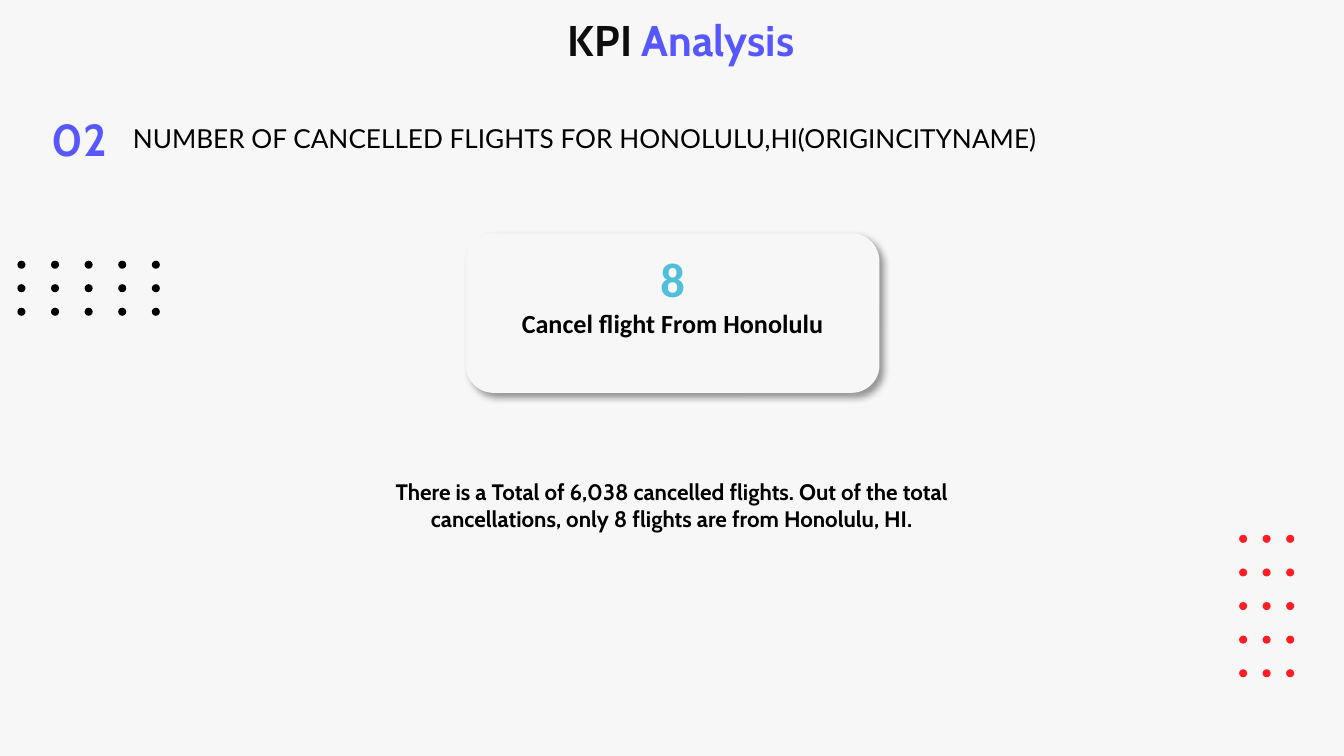
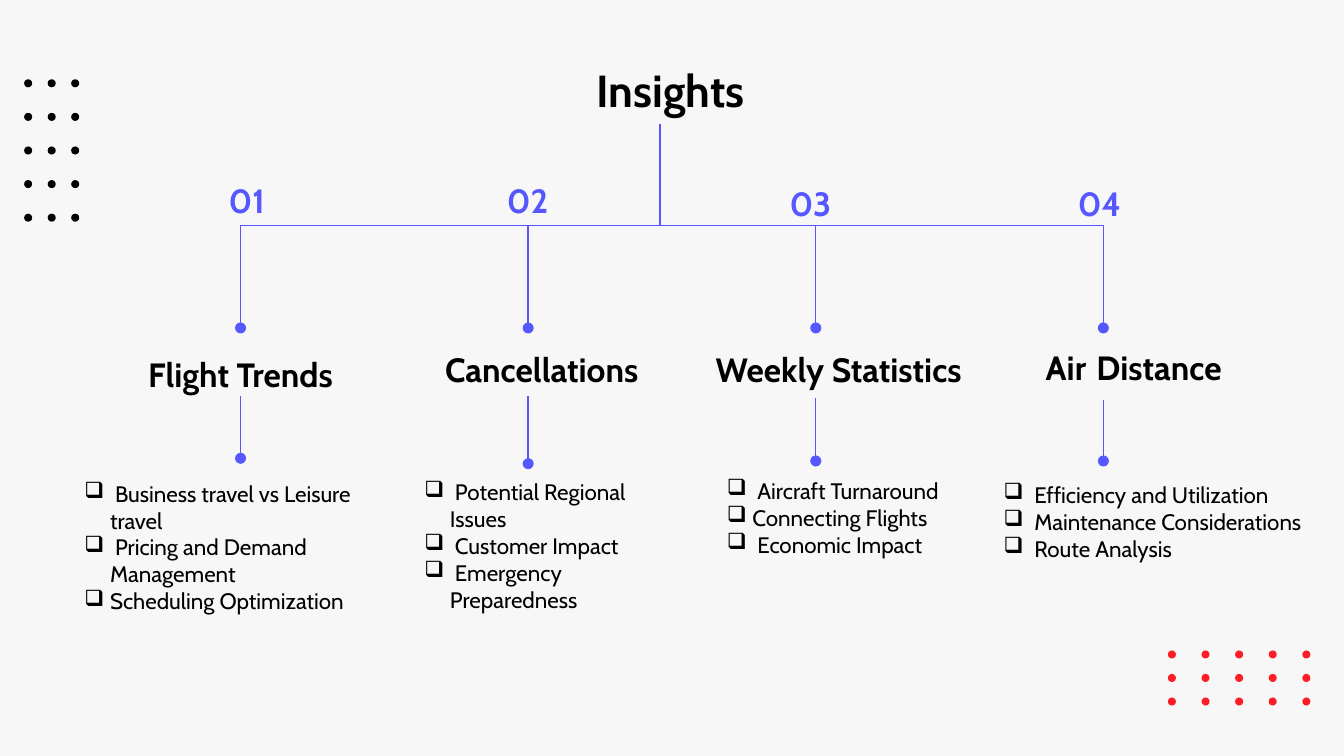
from lxml.etree import SubElement
from pptx import Presentation
from pptx.dml.color import RGBColor
from pptx.enum.shapes import MSO_CONNECTOR, MSO_SHAPE
from pptx.enum.text import MSO_ANCHOR, MSO_AUTO_SIZE, PP_ALIGN
from pptx.oxml.ns import qn
from pptx.util import Inches, Pt

BLACK = RGBColor(0x00, 0x00, 0x00)
INK = RGBColor(0x0D, 0x0D, 0x0D)
PAPER = RGBColor(0xF7, 0xF7, 0xF7)
VIOLET = RGBColor(0x57, 0x57, 0xFF)
RED = RGBColor(0xFF, 0x1D, 0x25)
SKY = RGBColor(0x50, 0xBF, 0xDB)

# Text formats: every key but "color" is a font attribute
BODY = {"name": "Cabin", "size": Pt(12), "bold": False, "color": BLACK}
STRONG = {**BODY, "bold": True}
HEADING = {**STRONG, "size": Pt(18)}
NUMBER = {**HEADING, "color": VIOLET}
TITLE = {**STRONG, "size": Pt(24)}
KPI_TITLE = {**TITLE, "size": Pt(23), "color": INK}
CAPTION = {**BODY, "name": "Lato", "size": Pt(14)}
CARD_LABEL = {**STRONG, "name": "Calibri", "size": Pt(14)}
CARD_VALUE = {**CARD_LABEL, "size": Pt(26), "color": SKY}

# Dot patterns: columns, rows, column step, row step
WIDE_DOTS = (5, 3, 2.5, 1.75)
TALL_DOTS = (3, 5, 1.75, 2.5)
DOT_SIZE = 0.6
COLUMNS = 100


class Painter:
    """Draws on the current page; lengths are square cells, 100 across the page."""

    def __init__(self):
        self.deck = Presentation()
        self.deck.slide_width = Inches(10)
        self.deck.slide_height = Inches(10) * 9 // 16
        self.cell = self.deck.slide_width // COLUMNS
        self.page = None
        fill = self.deck.slide_master.background.fill
        fill.solid()
        fill.fore_color.rgb = PAPER

    def cells(self, *lengths):
        return [round(length * self.cell) for length in lengths]

    def add_page(self):
        self.page = self.deck.slides.add_slide(self.deck.slide_layouts[5])

    def fill_text(self, shape, paragraphs, align=PP_ALIGN.CENTER, **frame_format):
        """Fill a shape with paragraphs, each a list of (words, format) spans."""
        frame = shape.text_frame
        settings = {"word_wrap": True, "auto_size": MSO_AUTO_SIZE.NONE,
                    "vertical_anchor": MSO_ANCHOR.TOP, **frame_format}
        for key, value in settings.items():
            setattr(frame, key, value)
        for index, spans in enumerate(paragraphs):
            para = frame.add_paragraph() if index else frame.paragraphs[0]
            para.alignment = align
            for words, text_format in spans:
                span = para.add_run()
                span.text = words
                for key, value in text_format.items():
                    if key == "color":
                        span.font.color.rgb = value
                    else:
                        setattr(span.font, key, value)

    def pad(self, box):
        for side in ("left", "right", "top", "bottom"):
            setattr(box.text_frame, f"margin_{side}", self.cell)

    def title(self, place, spans, anchor):
        box = self.page.shapes.title
        for key, value in zip(("left", "top", "width", "height"), self.cells(*place)):
            setattr(box, key, value)
        self.pad(box)
        self.fill_text(box, [spans], vertical_anchor=anchor)

    def text(self, place, paragraphs, anchor=MSO_ANCHOR.TOP, align=PP_ALIGN.CENTER):
        box = self.page.shapes.add_textbox(*self.cells(*place))
        self.pad(box)
        self.fill_text(box, paragraphs, align, vertical_anchor=anchor)
        return box

    def caption(self, place, words):
        box = self.page.shapes.add_textbox(*self.cells(*place))
        self.fill_text(box, [[(words, CAPTION)]], PP_ALIGN.LEFT, word_wrap=False,
                       auto_size=MSO_AUTO_SIZE.SHAPE_TO_FIT_TEXT)

    def checklist(self, place, items):
        box = self.text(place, [[(item, BODY)] for item in items], align=PP_ALIGN.LEFT)
        indent = Inches(0.19)
        for para in box.text_frame.paragraphs:
            properties = para._p.get_or_add_pPr()
            properties.set("marL", str(indent))
            properties.set("indent", str(-indent))
            color = SubElement(properties, qn("a:buClr"))
            SubElement(color, qn("a:srgbClr"), val=str(BLACK))
            SubElement(properties, qn("a:buChar"), char="❑")

    def card(self, place, paragraphs):
        card = self.page.shapes.add_shape(MSO_SHAPE.ROUNDED_RECTANGLE, *self.cells(*place))
        card.fill.solid()
        card.fill.fore_color.rgb = PAPER
        card.line.color.rgb = PAPER
        card.line.width = Pt(2)
        effects = SubElement(card._element.spPr, qn("a:effectLst"))
        shadow = SubElement(effects, qn("a:outerShdw"), blurRad=str(Pt(4)), dist=str(Pt(3)),
                            dir=str(45 * 60000), algn="tl", rotWithShape="0")
        color = SubElement(shadow, qn("a:srgbClr"), val=str(BLACK))
        SubElement(color, qn("a:alpha"), val="40000")
        self.fill_text(card, paragraphs)

    def dots(self, left, top, pattern, color):
        columns, rows, column_step, row_step = pattern
        group = self.page.shapes.add_group_shape()
        for row in range(rows):
            for column in range(columns):
                place = (left + column * column_step, top + row * row_step, DOT_SIZE, DOT_SIZE)
                dot = group.shapes.add_shape(MSO_SHAPE.OVAL, *self.cells(*place))
                dot.shadow.inherit = False
                dot.fill.solid()
                dot.fill.fore_color.rgb = color
                dot.line.fill.background()

    def connector(self, kind, *ends):
        line = self.page.shapes.add_connector(kind, *self.cells(*ends))
        line.line.color.rgb = VIOLET
        line.line.width = Pt(0.75)
        SubElement(line.line._get_or_add_ln(), qn("a:tailEnd"), type="oval")
        SubElement(line._element.spPr, qn("a:effectLst"))
        return line

    def branch(self, start_x, start_y, end_x, end_y):
        """Elbow that runs down, across, then down: a turned horizontal elbow."""
        middle_x, middle_y = (start_x + end_x) / 2, (start_y + end_y) / 2
        half_drop, half_span = (end_y - start_y) / 2, abs(end_x - start_x) / 2
        to_right = end_x > start_x
        if to_right:
            half_drop = -half_drop
        line = self.connector(MSO_CONNECTOR.ELBOW, middle_x - half_drop, middle_y - half_span,
                              middle_x + half_drop, middle_y + half_span)
        line._element.spPr.xfrm.set("rot", str((270 if to_right else 90) * 60000))


def kpi_page(painter):
    painter.add_page()
    painter.title((8.9, 0, 84.3, 6.3),
                  [("KPI", KPI_TITLE), (" Analysis ", {**KPI_TITLE, "color": VIOLET})],
                  MSO_ANCHOR.TOP)
    painter.text((0, 7.6, 11.8, 5.4), [[("02", {**TITLE, "color": VIOLET})]], MSO_ANCHOR.MIDDLE)
    painter.caption((8.9, 8.6, 69.4, 3.4),
                    "NUMBER OF CANCELLED FLIGHTS FOR HONOLULU,HI(ORIGINCITYNAME)")
    painter.card((34.8, 17.5, 30.5, 11.6),
                 [[("8", CARD_VALUE)], [("Cancel flight From Honolulu", CARD_LABEL)]])
    painter.text((25.5, 34.6, 49, 9.9),
                 [[("There is a Total of 6,038 cancelled flights. Out of the total "
                    "cancellations, only 8 flights are from Honolulu, HI.", STRONG)]])
    painter.dots(1.3, 19.4, WIDE_DOTS, BLACK)
    painter.dots(92.2, 39.8, TALL_DOTS, RED)


# Each topic: number box, heading box, heading spans, stem ends, list box, list items
TOPICS = [
    ((15.6, 12.3, 5.5, 5.2), (8.6, 24.9, 18.6, 5.4), [("Flight Trends", HEADING)],
     (29.5, 34.1), (5.3, 34.7, 24.5, 10.4),
     [" Business travel vs Leisure travel", " Pricing and Demand Management",
      "Scheduling Optimization"]),
    ((36.5, 12.3, 5.5, 5.2), (30.7, 24.6, 19.2, 5.4), [("Cancellations", HEADING)],
     (29.5, 34.5), (30.6, 34.6, 21.4, 12.5),
     [" Potential Regional Issues", " Customer Impact", " Emergency Preparedness"]),
    ((56.7, 12.4, 7.2, 5.4), (48.7, 24.6, 27.4, 5.4), [("Weekly Statistics", HEADING)],
     (29.6, 34.3), (53.1, 34.5, 19.5, 12.5),
     [" Aircraft Turnaround", "Connecting Flights", " Economic Impact"]),
    ((77.7, 12.4, 8.2, 5.4), (74.6, 24.6, 19.5, 5.4),
     [("Air", HEADING), (" ", TITLE), ("Distance", HEADING)],
     (29.8, 34.3), (73.7, 34.8, 25.7, 12),
     [" Efficiency and Utilization", " Maintenance Considerations", " Route Analysis"]),
]
TRUNK = (49.1, 9.2)
FIRST_NODE, NODE_STEP, NODE_ROW = 17.9, 21.4, 24.4


def insights_page(painter):
    painter.add_page()
    painter.title((30.1, 4.3, 39.6, 5.4), [("Insights", TITLE)], MSO_ANCHOR.BOTTOM)
    painter.dots(86.9, 48.4, WIDE_DOTS, RED)
    painter.dots(1.8, 5.9, TALL_DOTS, BLACK)

    # Tree of topics
    for index, topic in enumerate(TOPICS):
        number_place, heading_place, heading, (stem_top, stem_end), list_place, items = topic
        node = FIRST_NODE + index * NODE_STEP
        painter.branch(*TRUNK, node, NODE_ROW)
        painter.connector(MSO_CONNECTOR.STRAIGHT, node, stem_top, node, stem_end)
        painter.text(number_place, [[(f"{index + 1:02}", NUMBER)]], MSO_ANCHOR.MIDDLE)
        painter.text(heading_place, [heading], MSO_ANCHOR.BOTTOM)
        painter.checklist(list_place, items)


def main():
    painter = Painter()
    kpi_page(painter)
    insights_page(painter)
    painter.deck.save("out.pptx")


if __name__ == "__main__":
    main()
